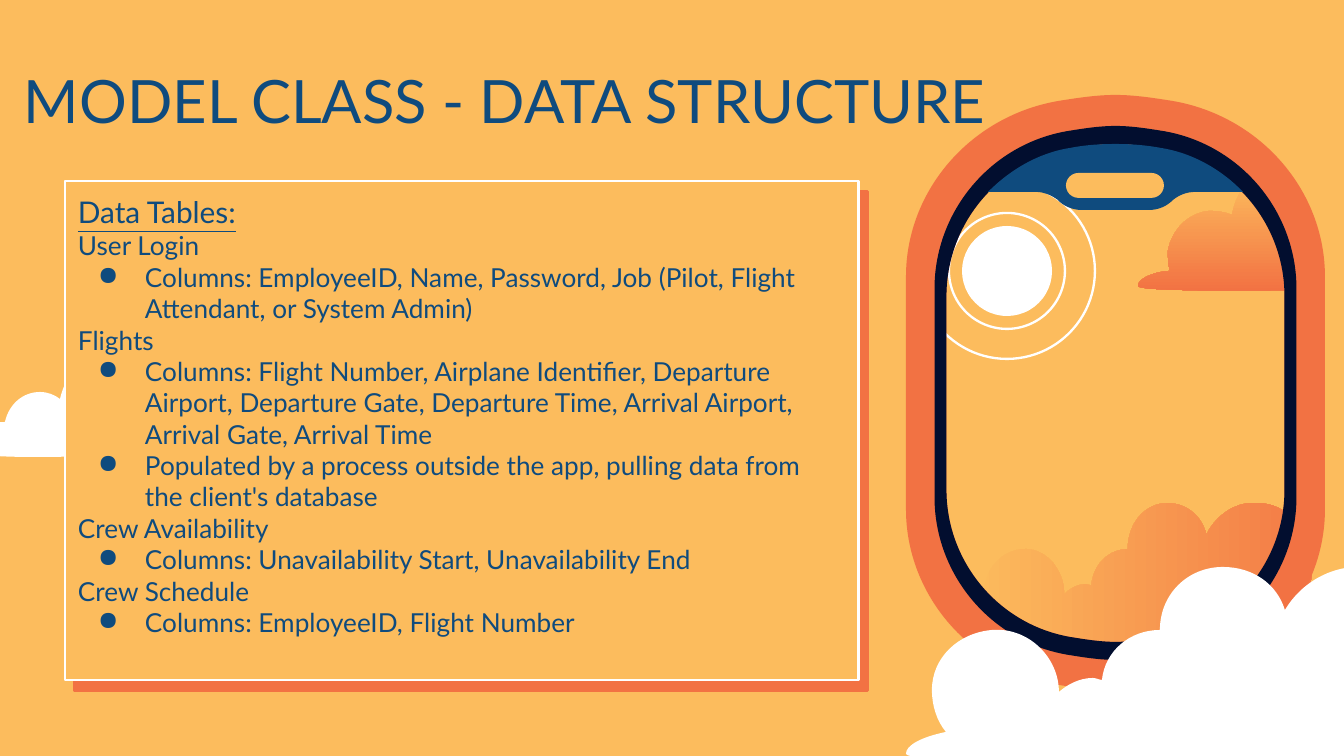
"""Build the data structure slide with an airplane window scene."""
from dataclasses import dataclass

from lxml import etree
from pptx import Presentation
from pptx import util as u
from pptx.dml import color
from pptx.enum import shapes as kinds, text
from pptx.oxml import ns

PIXEL = 914400 / 134.4


@dataclass(frozen=True)
class Theme:
    """Colours, font and type sizes of the slide."""
    sky: str = "FCBC5D"
    coral: str = "F27243"
    navy: str = "020E2F"
    blue: str = "0F4B7E"
    white: str = "FFFFFF"
    font: str = "Lato"
    title: int = 32
    heading: int = 16
    body: int = 14


THEME = Theme()

BANK_SIZE = (615, 204)
BANK = [
    (40, 168), (31, 157, 26, 142, 26, 126), (26, 94, 52, 69, 86, 66),
    (122, 63, 153, 93, 153, 128), (161, 121, 173, 114, 187, 114),
    (190, 114, 194, 116, 196, 116), (199, 87, 224, 66, 254, 66),
    (254, 30, 282, 3, 317, 3), (347, 3, 371, 20, 379, 46),
    (395, 19, 426, 0, 462, 3), (507, 4, 543, 39, 547, 82),
    (548, 94, 546, 106, 543, 117), (558, 122, 567, 137, 567, 153),
    (567, 163, 564, 172, 558, 179), (591, 181, 614, 187, 614, 194),
    (614, 203, 0, 204, 0, 190), (0, 181, 16, 173, 40, 168),
]
PUFF_SIZE = (269, 101)
PUFF = [
    (151, 0), (129, 0, 112, 17, 106, 43), (101, 39, 94, 36, 86, 36),
    (69, 36, 55, 48, 51, 66), (22, 67, 0, 78, 0, 90),
    (0, 98, 36, 101, 82, 101), (161, 101, 269, 93, 269, 87),
    (269, 81, 255, 75, 238, 74), (238, 54, 223, 36, 203, 36),
    (200, 36, 196, 38, 194, 39), (187, 16, 171, 0, 151, 0),
]
CORNER_SIZE = (165, 114)
CORNER = [
    (71, 34), (51, 36, 34, 52, 30, 74), (30, 81, 30, 87, 32, 94),
    (15, 95, 0, 102, 0, 109), (0, 114, 86, 114, 165, 113),
    (155, 70, 137, 31, 114, 0), (103, 11, 97, 23, 94, 38),
    (87, 35, 79, 34, 71, 34),
]
SHADE_SIZE = (255, 66)
SHADE = [
    (128, 0), (112, 0, 97, 1, 82, 4), (50, 9, 22, 26, 0, 48), (48, 48),
    (56, 48, 63, 51, 70, 56), (75, 62, 85, 66, 93, 66), (161, 66),
    (171, 66, 179, 62, 185, 56), (191, 51, 199, 48, 207, 48), (255, 48),
    (234, 26, 205, 9, 173, 4), (157, 1, 142, 0, 128, 0),
]
TABLES = [
    ("User Login", ["Columns: EmployeeID, Name, Password, Job (Pilot, Flight "
                    "Attendant, or System Admin)"]),
    ("Flights", ["Columns: Flight Number, Airplane Identifier, Departure Airport, "
                 "Departure Gate, Departure Time, Arrival Airport, Arrival Gate, "
                 "Arrival Time",
                 "Populated by a process outside the app, pulling data from the "
                 "client's database"]),
    ("Crew Availability", ["Columns: Unavailability Start, Unavailability End"]),
    ("Crew Schedule", ["Columns: EmployeeID, Flight Number"]),
]


def px(value):
    """Turn pixels into EMU."""
    return u.Emu(round(value * PIXEL))


def rgb(value):
    """Turn a hex string into a colour."""
    return color.RGBColor.from_string(value)


def paint(shape, fill=None, line=None, width=1.0):
    """Set plain fill and line and drop the shadow."""
    shape.shadow.inherit = False
    if fill:
        shape.fill.solid()
        shape.fill.fore_color.rgb = rgb(fill)
    else:
        shape.fill.background()
    if line:
        shape.line.color.rgb = rgb(line)
        shape.line.width = u.Pt(width)
    else:
        shape.line.fill.background()
    return shape


def add_preset(shapes, kind, box, **style):
    """Add a painted preset shape in a pixel box."""
    return paint(shapes.add_shape(kind, *map(px, box)), **style)


def add_circle(shapes, center, radius, **style):
    """Add a circle around a center."""
    x, y = center
    box = (x - radius, y - radius, 2 * radius, 2 * radius)
    add_preset(shapes, kinds.MSO_SHAPE.OVAL, box, **style)


def add_contours(shapes, contours, fill):
    """Add a freeform of closed contours, each given as points and segment sizes."""
    builder = None
    for points, _ in contours:
        start, *rest = [(px(x), px(y)) for x, y in points]
        if builder is None:
            builder = shapes.build_freeform(*start, scale=1.0)
        else:
            builder.move_to(*start)
        builder.add_line_segments(rest, close=True)
    shape = builder.convert_to_shape()
    lines = iter(list(shape._element.iter(ns.qn("a:lnTo"))))
    for size in [size for _, sizes in contours for size in sizes]:
        first, *others = [next(lines) for _ in range(size)]
        if others:
            first.tag = ns.qn("a:cubicBezTo")
        for other in others:
            first.append(other[0])
            other.getparent().remove(other)
    return paint(shape, fill)


def add_outline(shapes, box, outline, size, fill):
    """Fit an outline of lines and curves into a box."""
    left, top, width, height = box
    points = [(left + segment[i] * width / size[0], top + segment[i + 1] * height / size[1])
              for segment in outline for i in range(0, len(segment), 2)]
    sizes = [len(segment) // 2 for segment in outline[1:]]
    return add_contours(shapes, [(points, sizes)], fill)


def add_gradient_cloud(shapes, box, outline, size, angle):
    """Add a cloud that fades from sky to coral."""
    cloud = add_outline(shapes, box, outline, size, THEME.sky)
    cloud.fill.gradient()
    cloud.fill.gradient_angle = angle
    for stop, tint in zip(cloud.fill.gradient_stops, (THEME.sky, THEME.coral)):
        stop.color.rgb = rgb(tint)


def window_contour(center, width, height):
    """Give the rounded window outline for half a width and half a height."""
    quarter = [(x * width, y * height) for x, y in (
        (0, 1), (.09, 1), (.18, .99), (.27, .98), (.69, .93), (1, .68), (1, .39))]
    right = [(x, -y) for x, y in quarter] + quarter[::-1]
    left = [(-x, y) for x, y in right[::-1]]
    points = [(center[0] + x, center[1] + y) for x, y in right + left[1:]]
    return points, (3, 3, 1, 3, 3) * 2


def add_window(slide, box):
    """Add the window frame, its rim and the shade with a handle."""
    left, top, width, height = box
    center = (left + width / 2, top + height / 2)
    shapes = slide.shapes.add_group_shape().shapes
    glass = window_contour(center, 169, 249)
    for half_width, half_height, fill in (
            (width / 2, height / 2, THEME.coral), (181, 267, THEME.navy)):
        add_contours(shapes, [glass, window_contour(center, half_width, half_height)], fill)
    add_outline(shapes, (left + 82, top + 49, *SHADE_SIZE), SHADE, SHADE_SIZE, THEME.blue)
    handle = add_preset(shapes, kinds.MSO_SHAPE.ROUNDED_RECTANGLE,
                        (left + 160, top + 78, 98, 25), fill=THEME.sky)
    handle.adjustments[0] = 0.5


def add_scene(slide, box):
    """Add the sky, the clouds and the window."""
    left, top = box[:2]
    shapes = slide.shapes
    sun = (left + 101, top + 176)
    add_gradient_cloud(shapes, (left + 62, top + 406, 387, 149), BANK, BANK_SIZE, 0)
    for radius in (58, 88):
        add_circle(shapes, sun, radius, line=THEME.white, width=1.25)
    add_gradient_cloud(shapes, (left + 232, top + 82, *CORNER_SIZE), CORNER, CORNER_SIZE, 270)
    add_circle(shapes, sun, 45, fill=THEME.white)
    add_outline(shapes, (left - 952, top + 261, *PUFF_SIZE), PUFF, PUFF_SIZE, THEME.white)
    add_window(slide, box)
    add_outline(shapes, (left, top + 469, *BANK_SIZE), BANK, BANK_SIZE, THEME.white)


def add_frame(slide, box):
    """Add a wrapping text frame."""
    frame = slide.shapes.add_textbox(*map(px, box)).text_frame
    frame.word_wrap = True
    frame.margin_left = frame.margin_right = px(13)
    frame.margin_top = frame.margin_bottom = px(13)
    return frame


def write(paragraph, words, size, underline=None, bullet=False):
    """Fill and format one paragraph."""
    paragraph.text = words
    font = paragraph.runs[0].font
    font.name, font.size, font.underline = THEME.font, u.Pt(size), underline
    font.color.rgb = rgb(THEME.blue)
    if bullet:
        properties = paragraph._p.get_or_add_pPr()
        properties.set("marL", str(px(67)))
        properties.set("indent", str(px(-47)))
        etree.SubElement(properties, ns.qn("a:buChar"), char="●")


def add_title(slide, box):
    """Add the slide title."""
    frame = add_frame(slide, box)
    frame.vertical_anchor = text.MSO_ANCHOR.MIDDLE
    write(frame.paragraphs[0], "MODEL CLASS - DATA STRUCTURE", THEME.title)


def add_panel(slide, box):
    """Add the shadowed panel that lists the data tables."""
    left, top, width, height = box
    panel = add_preset(slide.shapes, kinds.MSO_SHAPE.RECTANGLE, box,
                       fill=THEME.sky, line=THEME.white, width=1.5)
    effects = panel._element.spPr.find(ns.qn("a:effectLst"))
    shadow = etree.SubElement(effects, ns.qn("a:outerShdw"), blurRad="0",
                              dist=str(u.Pt(7.5)), dir=str(50 * 60000),
                              algn="bl", rotWithShape="0")
    etree.SubElement(shadow, ns.qn("a:srgbClr"), val=THEME.coral)
    frame = add_frame(slide, (left, top, width - 23, height - 46))
    write(frame.paragraphs[0], "Data Tables:", THEME.heading, underline=True)
    for name, notes in TABLES:
        write(frame.add_paragraph(), name, THEME.body)
        for note in notes:
            write(frame.add_paragraph(), note, THEME.body, bullet=True)


def main():
    """Build and save the presentation."""
    presentation = Presentation()
    presentation.slide_width, presentation.slide_height = px(1344), px(756)
    slide = presentation.slides.add_slide(presentation.slide_layouts[6])
    slide.background.fill.solid()
    slide.background.fill.fore_color.rgb = rgb(THEME.sky)
    add_scene(slide, (906, 95, 419, 596))
    add_title(slide, (11, 50, 1019, 99))
    add_panel(slide, (65, 181, 794, 499))
    presentation.save("out.pptx")


main()
